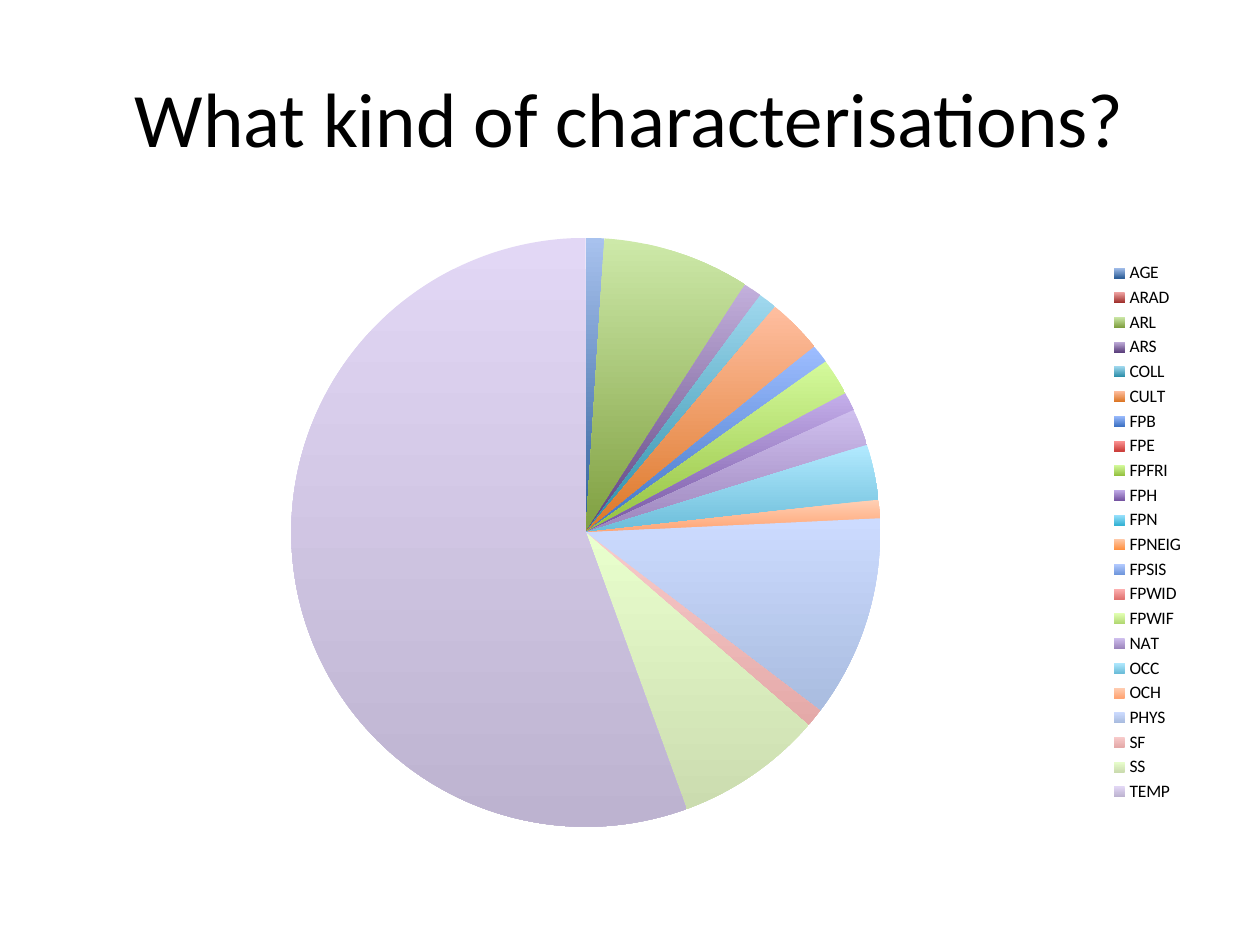
from pptx import Presentation
from pptx import util as u
from pptx.chart import data as chart_data
from pptx.dml.color import RGBColor
from pptx.enum import chart as charts, text

BLACK = RGBColor(0x00, 0x00, 0x00)
SLICES = [
    ("AGE", 1, "A8C2EE", "2E5F99"),
    ("ARAD", 0, "EFA3A2", "9F2F2C"),
    ("ARL", 8, "CDE9A9", "7F9F40"),
    ("ARS", 1, "C3B0DC", "5D417E"),
    ("COLL", 1, "A0D8EE", "2A8DA8"),
    ("CULT", 3, "FFBEA0", "DC7726"),
    ("FPB", 1, "9DBDFF", "3F73C4"),
    ("FPE", 0, "FF9A99", "CC3F3C"),
    ("FPFRI", 2, "D4FA9C", "94C03F"),
    ("FPH", 1, "C4AEEA", "7655A2"),
    ("FPN", 0, "A0E4FF", "35B2D4"),
    ("FPNEIG", 0, "FFC9A8", "FF9040"),
    ("FPSIS", 0, "B4CBFF", "7097DC"),
    ("FPWID", 0, "FFB3B3", "E07371"),
    ("FPWIF", 0, "E2FFB3", "B0D770"),
    ("NAT", 2, "CFBFEE", "9C85BC"),
    ("OCC", 3, "B2EAFF", "6CBDD9"),
    ("OCH", 1, "FFCFB4", "FFA574"),
    ("PHYS", 11, "CCDBFF", "A9BCDF"),
    ("SF", 1, "F8CBCB", "E4A9A8"),
    ("SS", 8, "E9FFCD", "CBDCAF"),
    ("TEMP", 55, "E2D7F5", "BDB3D0"),
]

presentation = Presentation()
presentation.slide_width, presentation.slide_height = u.Inches(10), u.Inches(7.5)
column, row = u.Inches(0.5), u.Inches(0.05)
slide = presentation.slides.add_slide(presentation.slide_layouts[5])

title = slide.shapes.title
title_box = {"left": column, "top": 6 * row, "width": 18 * column, "height": 25 * row}
for name, value in title_box.items():
    setattr(title, name, value)
title.text_frame.text = "What kind of characterisations?"
title.text_frame.vertical_anchor = text.MSO_ANCHOR.MIDDLE
paragraph = title.text_frame.paragraphs[0]
paragraph.alignment = text.PP_ALIGN.CENTER

pie_data = chart_data.CategoryChartData()
pie_data.categories = [label for label, *_ in SLICES]
pie_data.add_series("Series 1", [share for _, share, *_ in SLICES])
chart = slide.shapes.add_chart(
    charts.XL_CHART_TYPE.PIE, column, 35 * row, 18 * column, 99 * row, pie_data
).chart
chart.has_title = False
chart.has_legend = True
chart.legend.position = charts.XL_LEGEND_POSITION.RIGHT
chart.legend.include_in_layout = False

for font, size in ((paragraph.runs[0].font, 44), (chart.font, 10)):
    for name, value in {"name": "Calibri", "size": u.Pt(size)}.items():
        setattr(font, name, value)
    font.color.rgb = BLACK

plot = chart.plots[0]
plot.vary_by_categories = True
for index, (_, _, *shades) in enumerate(SLICES):
    slice_format = plot.series[0].points[index].format
    slice_format.line.fill.background()
    slice_format.fill.gradient()
    slice_format.fill.gradient_angle = 270
    for stop, shade in zip(slice_format.fill.gradient_stops, shades):
        stop.color.rgb = RGBColor.from_string(shade)

presentation.save("out.pptx")
